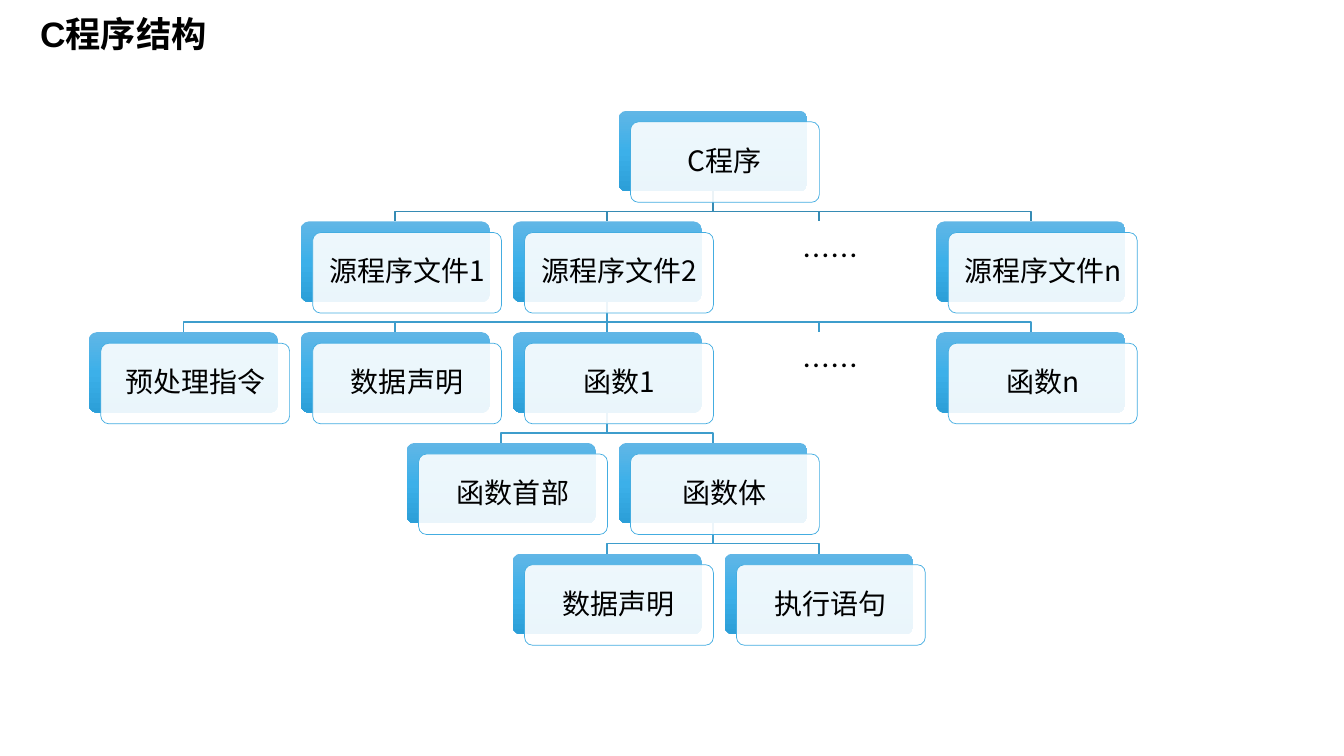
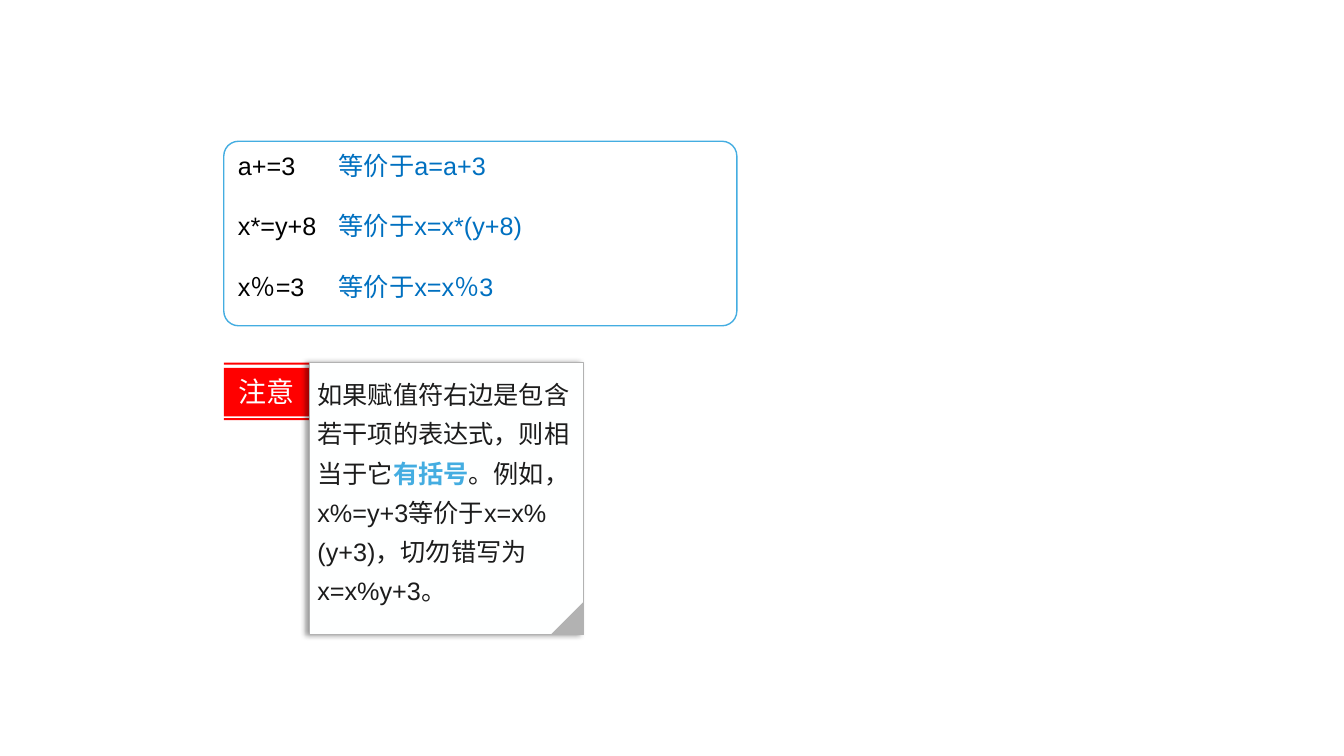
from dataclasses import dataclass
from copy import deepcopy
from lxml.etree import SubElement
from pptx import Presentation
from pptx.dml.color import RGBColor
from pptx.enum.shapes import MSO_SHAPE
from pptx.enum.text import MSO_ANCHOR, MSO_AUTO_SIZE, PP_ALIGN
from pptx.oxml.ns import qn
from pptx.util import Cm, Pt


@dataclass(frozen=True)
class Theme:
    sans: str = "Arial"
    cjk: str = "Noto Sans CJK SC"
    black: str = "000000"
    white: str = "FFFFFF"
    paper: str = "FEFFFF"
    ink: str = "1C1C1C"
    blue: str = "44ADE1"
    deep: str = "0070C0"
    red: str = "FF0000"
    gray: str = "B2B2B2"
    grad: tuple = ((0, "61B6E6"), (50, "3CB0E9"), (100, "2C9FD8"))
    links: tuple = ("368BB4", "3E9DCC")
    title: float = 25.2
    label: float = 20
    body: float = 18


@dataclass(frozen=True)
class Run:
    text: str
    color: str
    bold: bool = False


@dataclass(frozen=True)
class Node:
    """A card; col counts half cards from the left, up is the parent's col."""
    text: str
    row: int
    col: int
    up: int | None = None


THEME = Theme()
DOTS = "……"
NODES = (
    Node("C程序", 0, 5),
    Node("源程序文件1", 1, 2, 5),
    Node("源程序文件2", 1, 4, 5),
    Node(DOTS, 1, 6, 5),
    Node("源程序文件n", 1, 8, 5),
    Node("预处理指令", 2, 0, 4),
    Node("数据声明", 2, 2, 4),
    Node("函数1", 2, 4, 4),
    Node(DOTS, 2, 6, 4),
    Node("函数n", 2, 8, 4),
    Node("函数首部", 3, 3, 4),
    Node("函数体", 3, 5, 4),
    Node("数据声明", 4, 4, 5),
    Node("执行语句", 4, 6, 5),
)
LEFT, TOP, STEP_X, STEP_Y = 2.24, 2.79, 2.67, 2.79
CARD_W, CARD_H, DOTS_H = 4.76, 2.03, 1.24
SHIFT_X, SHIFT_Y, BEND = 0.3, 0.28, 0.51


def rgb(color: str) -> RGBColor:
    return RGBColor.from_string(color)


def write(shape, *paras, font=THEME.sans, size=THEME.body, align=PP_ALIGN.LEFT,
          anchor=MSO_ANCHOR.TOP, inset=(0.25, 0.13), line=None, gap=0,
          tab=None) -> None:
    """Fill a shape with paragraphs, each a sequence of runs."""
    frame = shape.text_frame
    frame.word_wrap = True
    frame.auto_size = MSO_AUTO_SIZE.NONE
    frame.vertical_anchor = anchor
    frame.margin_left = frame.margin_right = Cm(inset[0])
    frame.margin_top = frame.margin_bottom = Cm(inset[1])
    for i, runs in enumerate(paras):
        para = frame.add_paragraph() if i else frame.paragraphs[0]
        para.alignment = align
        para.line_spacing = line
        para.space_before = Pt(gap if i else 0)
        if tab:
            stops = SubElement(para._p.get_or_add_pPr(), qn("a:tabLst"))
            SubElement(stops, qn("a:tab"), pos=str(Cm(tab)), algn="l")
        for item in runs:
            run = para.add_run()
            run.text = item.text
            run.font.name = font
            run.font.size = Pt(size)
            run.font.bold = item.bold
            run.font.color.rgb = rgb(item.color)
            SubElement(run.font._element, qn("a:ea"), typeface=font)


def paint(shape, fill=None, line=None, width=1.0) -> None:
    shape.shadow.inherit = False
    if fill:
        shape.fill.solid()
        shape.fill.fore_color.rgb = rgb(fill)
    else:
        shape.fill.background()
    if line:
        shape.line.color.rgb = rgb(line)
        shape.line.width = Pt(width)
    else:
        shape.line.fill.background()


def box(slide, kind, left, top, width, height, fill, line=None, weight=1.0,
        round=None):
    shape = slide.shapes.add_shape(kind, Cm(left), Cm(top), Cm(width),
                                   Cm(height))
    paint(shape, fill, line, weight)
    if round is not None:
        shape.adjustments[0] = round
    return shape


def blend(shape) -> None:
    """Give the shape the top-to-bottom blue gradient."""
    shape.fill.gradient()
    shape.fill.gradient_angle = 270
    stops = shape._element.spPr.find(qn("a:gradFill")).find(qn("a:gsLst"))
    first = deepcopy(stops[0])
    for stop in list(stops):
        stops.remove(stop)
    for _ in THEME.grad:
        stops.append(deepcopy(first))
    for stop, (pos, color) in zip(shape.fill.gradient_stops, THEME.grad):
        stop.position = pos / 100
        stop.color.rgb = rgb(color)


def fade(shape, alpha: int) -> None:
    color = shape._element.spPr.find(qn("a:solidFill"))[0]
    SubElement(color, qn("a:alpha"), val=str(alpha * 1000))


def shade(shape) -> None:
    """Cast a soft shadow to the left."""
    effects = shape._element.spPr.find(qn("a:effectLst"))
    outer = SubElement(effects, qn("a:outerShdw"), blurRad=str(Pt(4)),
                       dist=str(Pt(3)), dir="10800000", algn="r",
                       rotWithShape="0")
    color = SubElement(outer, qn("a:srgbClr"), val=THEME.black)
    SubElement(color, qn("a:alpha"), val="40000")


def trace(slide, *lines, close=False):
    """Draw one freeform from lists of points in centimetres."""
    lines = [[(Cm(x), Cm(y)) for x, y in line] for line in lines]
    form = slide.shapes.build_freeform(*lines[0][0])
    for i, line in enumerate(lines):
        if i:
            form.move_to(*line[0])
        form.add_line_segments(line[1:], close=close)
    return form.convert_to_shape()


def link(slide, node: Node) -> None:
    start, end = (LEFT + col * STEP_X + CARD_W / 2 for col in (node.up, node.col))
    foot = TOP + (node.row - 1) * STEP_Y + CARD_H
    bend, head = foot + BEND, TOP + node.row * STEP_Y
    shape = trace(slide, [(start, foot), (start, bend), (end, bend), (end, head)])
    paint(shape, line=THEME.links[min(node.row - 1, 1)])


def card(slide, node: Node) -> None:
    dots = node.text == DOTS
    left, top = LEFT + node.col * STEP_X, TOP + node.row * STEP_Y
    size = CARD_W, DOTS_H if dots else CARD_H
    kind = MSO_SHAPE.ROUNDED_RECTANGLE
    back = box(slide, kind, left, top, *size, THEME.white, round=0.1)
    if not dots:
        blend(back)
    front = box(slide, kind, left + SHIFT_X, top + SHIFT_Y, *size, THEME.white,
                None if dots else THEME.blue, 0.5, 0.1)
    fade(front, 90)
    write(front, [Run(node.text, THEME.black)], font=THEME.cjk,
          size=THEME.label, align=PP_ALIGN.CENTER, anchor=MSO_ANCHOR.MIDDLE,
          inset=(0.1, 0.1), line=0.9)


def tree(deck) -> None:
    slide = deck.slides.add_slide(deck.slide_layouts[5])
    title = slide.shapes.title
    title.left, title.top, title.width, title.height = map(
        Cm, (0.76, 0.23, 30.15, 1.3))
    write(title, [Run("C程序结构", THEME.black, True)], size=THEME.title,
          anchor=MSO_ANCHOR.BOTTOM, line=0.9)
    for node in NODES:
        if node.up is not None:
            link(slide, node)
    for node in NODES:
        card(slide, node)


def flag(slide, left: float, right: float) -> None:
    """Draw the red label with a thin stripe above and below."""
    bands = ((10.54, 10.59), (9.27, 10.49), (9.14, 9.19))
    shape = trace(slide, *([(left, low), (right, low), (right, high),
                            (left, high)] for high, low in bands), close=True)
    paint(shape, THEME.red)
    write(shape, [Run("注意", THEME.paper)], size=THEME.label,
          align=PP_ALIGN.CENTER, anchor=MSO_ANCHOR.MIDDLE)


def note(slide, left: float, top: float) -> None:
    width, height, fold = 6.91, 6.86, 0.84
    sheet = box(slide, MSO_SHAPE.RECTANGLE, left, top, width, height,
                THEME.paper, THEME.gray, 0.75)
    shade(sheet)
    write(sheet,
          [Run("如果赋值符右边是包含若干项的表达式，则相当于它", THEME.ink),
           Run("有括号", THEME.blue, True), Run("。例如，", THEME.ink)],
          [Run("x%=y+3等价于x=x%(y+3)，切勿错写为x=x%y+3。", THEME.ink)],
          inset=(0.2, 0.2), line=Pt(28))
    corner = box(slide, MSO_SHAPE.RIGHT_TRIANGLE, left + width - fold,
                 top + height - fold, fold, fold, THEME.gray)
    corner.rotation = 270


def rules(deck) -> None:
    slide = deck.slides.add_slide(deck.slide_layouts[6])
    left, mid = 5.64, 7.8
    flag(slide, left, mid)
    note(slide, mid, 9.14)
    frame = box(slide, MSO_SHAPE.ROUNDED_RECTANGLE, left, 3.56, 12.93, 4.65,
                THEME.white, THEME.blue, round=0.08)
    pairs = (("a+=3", "a=a+3"), ("x*=y+8", "x=x*(y+8)"), ("x％=3", "x=x％3"))
    write(frame, *([Run(f"{short}\t", THEME.black),
                    Run(f"等价于{full}", THEME.deep)] for short, full in pairs),
          align=PP_ALIGN.JUSTIFY, line=Pt(21.5), gap=21.5, tab=2.54)


def main() -> None:
    deck = Presentation()
    deck.slide_width, deck.slide_height = Cm(33.87), Cm(19.05)
    tree(deck)
    rules(deck)
    deck.save("out.pptx")


if __name__ == "__main__":
    main()
